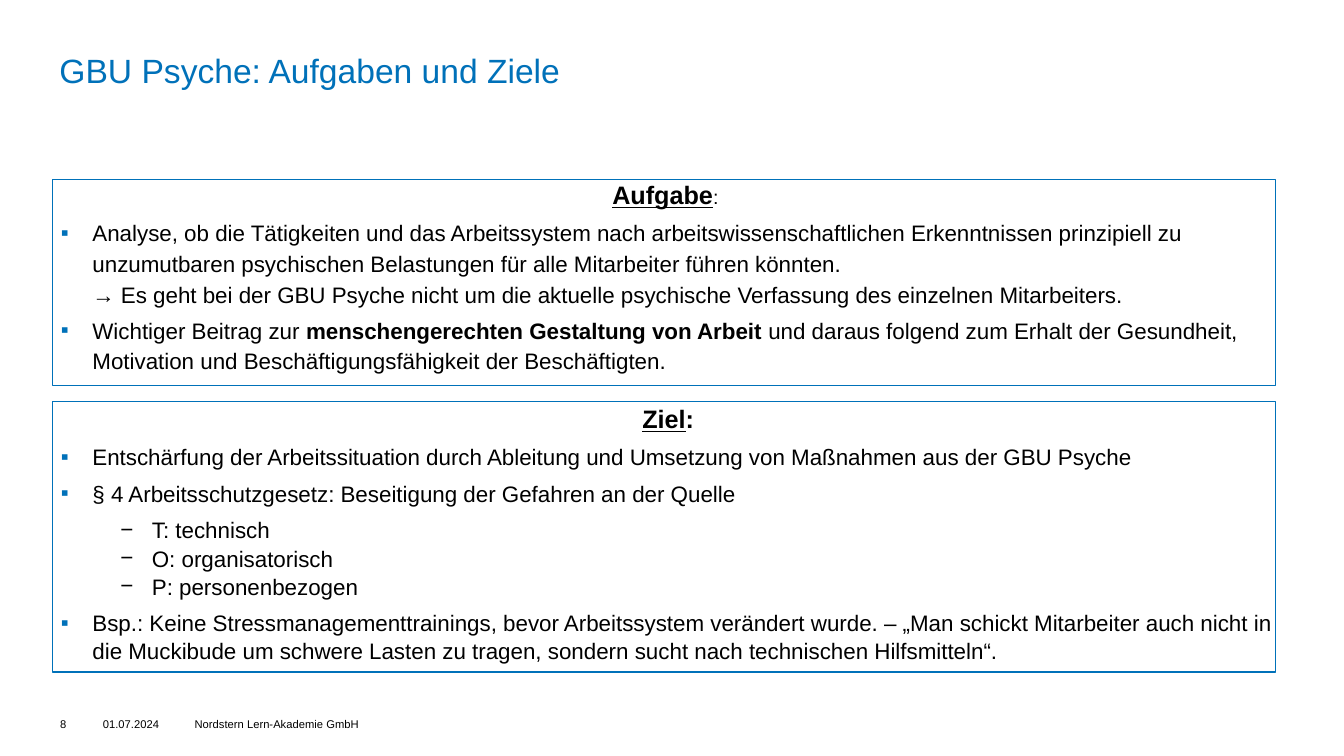
from dataclasses import dataclass

from lxml import etree
from pptx import Presentation
from pptx.dml.color import RGBColor
from pptx.enum.shapes import MSO_SHAPE
from pptx.enum.text import MSO_ANCHOR, MSO_AUTO_SIZE, PP_ALIGN
from pptx.oxml.ns import qn
from pptx.util import Pt

RECTANGLE = MSO_SHAPE.RECTANGLE
TOP, MIDDLE = MSO_ANCHOR.TOP, MSO_ANCHOR.MIDDLE
LEFT, CENTER = PP_ALIGN.LEFT, PP_ALIGN.CENTER
NO_AUTOFIT = MSO_AUTO_SIZE.NONE


@dataclass(frozen=True)
class Theme:
    font: str = "Arial"
    accent: RGBColor = RGBColor(0x00, 0x71, 0xB9)
    ink: RGBColor = RGBColor(0, 0, 0)
    title: int = 24
    heading: int = 18
    body: int = 16
    colon: int = 14
    footer: int = 8


THEME = Theme()
HANGING = 22.5
# Kind of bullet: character, left indent in points, colour
BULLETS = {
    "main": ("▪", HANGING, THEME.accent),
    "sub": ("−", 65, THEME.ink),
}
PANEL_LEFT, PANEL_WIDTH = 37.5, 873.5
FOOTER_TOP, FOOTER_HEIGHT = 505.5, 23

TASK_SPACING = {"line_spacing": Pt(22), "space_before": Pt(3.7)}
GOAL_SPACING = {"line_spacing": 1.05, "space_after": Pt(6)}
TIGHT = {"space_after": Pt(0)}
BODY = {"size": Pt(THEME.body)}
HEADING = {"size": Pt(THEME.heading), "bold": True, "underline": True}

# Each paragraph: bullet kind, runs of (text, font format), own spacing
TASK = [
    (None, [("Aufgabe", HEADING), (": ", {"size": Pt(THEME.colon)})],
     {"space_before": Pt(0)}),
    ("main", [("Analyse, ob die Tätigkeiten und das Arbeitssystem nach "
               "arbeitswissenschaftlichen Erkenntnissen prinzipiell zu unzumutbaren "
               "psychischen Belastungen für alle Mitarbeiter führen könnten.\n"
               "→ Es geht bei der GBU Psyche nicht um die aktuelle psychische "
               "Verfassung des einzelnen Mitarbeiters.", BODY)], {}),
    ("main", [("Wichtiger Beitrag zur ", BODY),
              ("menschengerechten Gestaltung von Arbeit ", BODY | {"bold": True}),
              ("und daraus folgend zum Erhalt der Gesundheit, Motivation und "
               "Beschäftigungsfähigkeit der Beschäftigten.", BODY)], {}),
]
GOAL = [
    (None, [("Ziel", HEADING), (":", HEADING | {"underline": False})], {}),
    ("main", [("Entschärfung der Arbeitssituation durch Ableitung und Umsetzung "
               "von Maßnahmen aus der GBU Psyche", BODY)], {}),
    ("main", [("§ 4 Arbeitsschutzgesetz: Beseitigung der Gefahren an der Quelle",
               BODY)], {}),
    ("sub", [("T: technisch", BODY)], TIGHT),
    ("sub", [("O: organisatorisch", BODY)], TIGHT),
    ("sub", [("P: personenbezogen", BODY)], {}),
    ("main", [("Bsp.: Keine Stressmanagementtrainings, bevor Arbeitssystem "
               "verändert wurde. – „Man schickt Mitarbeiter auch nicht in die "
               "Muckibude um schwere Lasten zu tragen, sondern sucht nach "
               "technischen Hilfsmitteln“.", BODY)], {}),
]
# Left edge, width, text
FOOTER = [
    (43, 30, "8"),
    (73.5, 66, "01.07.2024"),
    (139, 284.5, "Nordstern Lern-Akademie GmbH"),
]


def apply(target, values):
    for name, value in values.items():
        setattr(target, name, value)


def set_frame(frame, anchor, left=0, top=0, right=0, bottom=0):
    apply(frame, {
        "word_wrap": True, "auto_size": NO_AUTOFIT, "vertical_anchor": anchor,
        "margin_left": Pt(left), "margin_top": Pt(top),
        "margin_right": Pt(right), "margin_bottom": Pt(bottom),
    })


def add_run(paragraph, text, font_format, color=THEME.ink):
    run = paragraph.add_run()
    run.text = text
    apply(run.font, {"name": THEME.font} | font_format)
    run.font.color.rgb = color


def add_bullet(paragraph, kind):
    character, indent, color = BULLETS[kind]
    properties = paragraph._p.get_or_add_pPr()
    properties.set("marL", str(Pt(indent)))
    properties.set("indent", str(Pt(-HANGING)))
    bullet_color = etree.SubElement(properties, qn("a:buClr"))
    etree.SubElement(bullet_color, qn("a:srgbClr"), val=str(color))
    etree.SubElement(properties, qn("a:buFont"), typeface=THEME.font)
    etree.SubElement(properties, qn("a:buChar"), char=character)


def add_panel(slide, top, height, content, spacing):
    panel = slide.shapes.add_shape(RECTANGLE, Pt(PANEL_LEFT), Pt(top),
                                   Pt(PANEL_WIDTH), Pt(height))
    panel.shadow.inherit = False
    panel.fill.background()
    panel.line.color.rgb = THEME.accent
    panel.line.width = Pt(0.75)
    frame = panel.text_frame
    set_frame(frame, TOP, left=6)
    for index, (bullet, runs, own_spacing) in enumerate(content):
        paragraph = frame.add_paragraph() if index else frame.paragraphs[0]
        if bullet:
            add_bullet(paragraph, bullet)
        apply(paragraph, {"alignment": LEFT if bullet else CENTER}
              | spacing | own_spacing)
        for text, font_format in runs:
            for number, line in enumerate(text.split("\n")):
                if number:
                    paragraph.add_line_break()
                add_run(paragraph, line, font_format)


def set_title(slide, text):
    title = slide.shapes.title
    apply(title, {"left": Pt(42.5), "top": Pt(35.5),
                  "width": Pt(872.5), "height": Pt(46)})
    set_frame(title.text_frame, TOP)
    heading = title.text_frame.paragraphs[0]
    heading.alignment = LEFT
    add_run(heading, text, {"size": Pt(THEME.title)}, THEME.accent)


def add_footer(slide, left, width, text):
    box = slide.shapes.add_textbox(Pt(left), Pt(FOOTER_TOP),
                                   Pt(width), Pt(FOOTER_HEIGHT))
    set_frame(box.text_frame, MIDDLE, top=5, right=9, bottom=5)
    add_run(box.text_frame.paragraphs[0], text, {"size": Pt(THEME.footer)})


def main():
    deck = Presentation()
    deck.slide_width, deck.slide_height = Pt(960), Pt(540)
    title_only = deck.slide_layouts[5]
    slide = deck.slides.add_slide(title_only)
    set_title(slide, "GBU Psyche: Aufgaben und Ziele")
    add_panel(slide, 128, 147.5, TASK, TASK_SPACING)
    add_panel(slide, 287, 193, GOAL, GOAL_SPACING)
    for left, width, text in FOOTER:
        add_footer(slide, left, width, text)
    deck.save("out.pptx")


if __name__ == "__main__":
    main()
